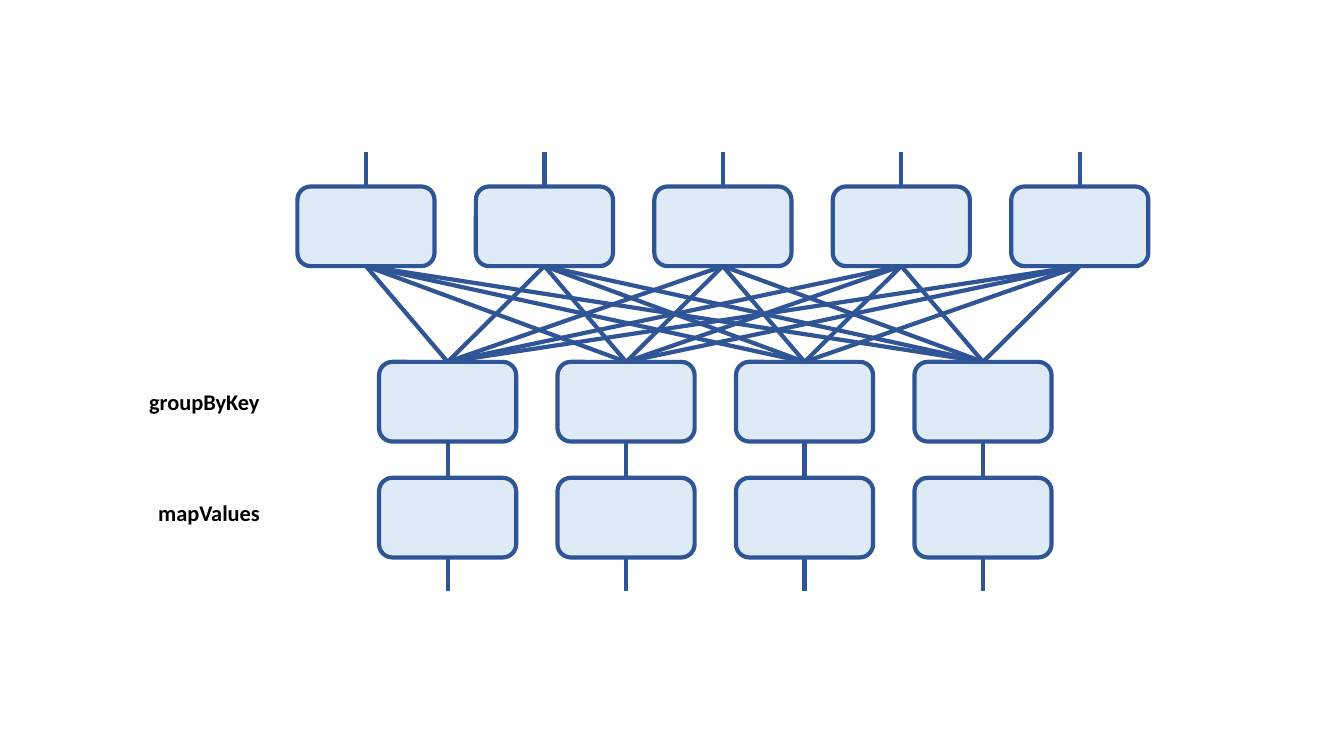
from lxml import etree
from pptx import Presentation
from pptx.dml.color import RGBColor
from pptx.enum import shapes, text
from pptx.oxml import ns
from pptx.util import Inches, Pt

BLUE = "2F5597"
PALE_BLUE = "DEEBF7"
BOX_WIDTH, BOX_HEIGHT = 1.36, 0.79
PITCH = 1.77
STUB = 0.33


def color(hex_code):
    return RGBColor.from_string(hex_code)


def add_line(x1, y1, x2, y2):
    line = slide.shapes.add_connector(
        shapes.MSO_CONNECTOR.STRAIGHT, Inches(x1), Inches(y1), Inches(x2), Inches(y2))
    line.line.color.rgb = color(BLUE)
    line.line.width = Pt(3)
    etree.SubElement(line._element.spPr, ns.qn("a:effectLst"))


presentation = Presentation()
presentation.slide_width = Inches(13.33)
presentation.slide_height = Inches(7.5)
slide = presentation.slides.add_slide(presentation.slide_layouts[6])

input_centers = [3.63 + PITCH * i for i in range(5)]
output_centers = [4.44 + PITCH * i for i in range(4)]
input_top, group_top, map_top = 1.85, 3.59, 4.74

# Shuffle: every input partition feeds every grouped partition
for output_x in output_centers:
    for input_x in input_centers:
        add_line(input_x, input_top + BOX_HEIGHT, output_x, group_top)

# Partition boxes
rows = [(input_centers, input_top), (output_centers, group_top), (output_centers, map_top)]
for centers, top in rows:
    for center in centers:
        box = slide.shapes.add_shape(
            shapes.MSO_SHAPE.ROUNDED_RECTANGLE, Inches(center - BOX_WIDTH / 2), Inches(top),
            Inches(BOX_WIDTH), Inches(BOX_HEIGHT))
        box.shadow.inherit = False
        box.fill.solid()
        box.fill.fore_color.rgb = color(PALE_BLUE)
        box.line.color.rgb = color(BLUE)
        box.line.width = Pt(3)

# Short vertical links above, between and below the rows
links = [(input_centers, 1.51), (output_centers, 4.39), (output_centers, 5.53)]
for centers, top in links:
    for center in centers:
        add_line(center, top, center, top + STUB)

# Operation labels
labels = [("groupByKey", 1.38, 3.8, 1.32), ("mapValues", 1.47, 4.9, 1.22)]
for name, left, top, width in labels:
    label = slide.shapes.add_textbox(Inches(left), Inches(top), Inches(width), Inches(0.37))
    frame = label.text_frame
    frame.word_wrap = False
    frame.auto_size = text.MSO_AUTO_SIZE.SHAPE_TO_FIT_TEXT
    frame.text = name
    font = frame.paragraphs[0].runs[0].font
    font.name = "Calibri"
    font.size = Pt(16)
    font.bold = True
    font.color.rgb = color("000000")

presentation.save("out.pptx")
